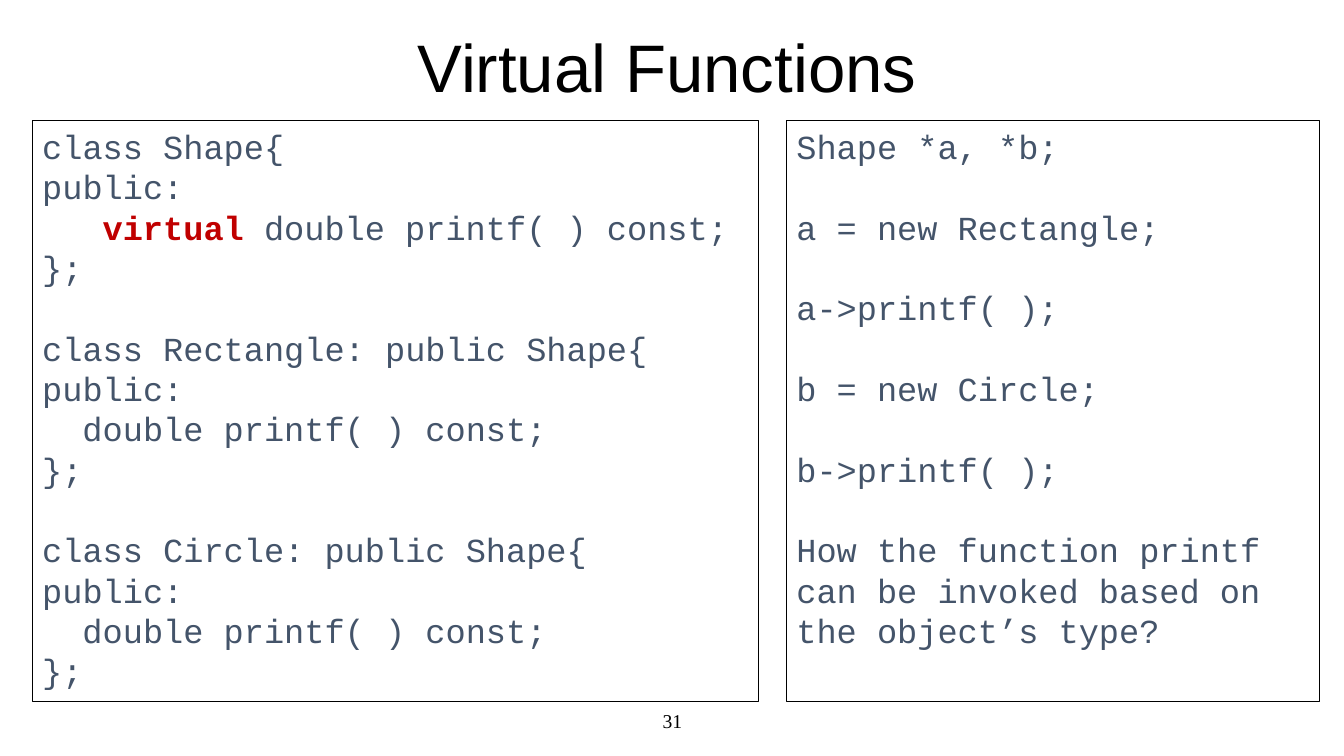
import pptx
import pptx.util
import pptx.dml.color
import pptx.enum.shapes
import pptx.enum.text

Inches, Pt = pptx.util.Inches, pptx.util.Pt
ALIGN, ANCHOR = pptx.enum.text.PP_ALIGN, pptx.enum.text.MSO_ANCHOR
COLOURS = {"black": "000000", "code": "44546A", "keyword": "C00000"}
CODE_LINE = Pt(28.8)
CHARACTER = Inches(0.2)


def set_font(font, name, size, colour):
    """Give a font its name, point size and colour."""
    font.name = name
    font.size = Pt(size)
    font.color.rgb = pptx.dml.color.RGBColor.from_string(COLOURS[colour])


def add_code(page, left, width, groups):
    """Draw a framed listing; each group is a list of (indent, text) lines."""
    box = page.shapes.add_shape(pptx.enum.shapes.MSO_SHAPE.RECTANGLE,
                                Inches(left), Inches(1.2), Inches(width), Inches(5.76))
    box.shadow.inherit = False
    box.fill.background()
    box.line.width = Pt(0.75)
    box.line.color.rgb = pptx.dml.color.RGBColor.from_string(COLOURS["black"])
    frame = box.text_frame
    frame.word_wrap = True
    frame.vertical_anchor = ANCHOR.TOP
    para = frame.paragraphs[0]
    for group_number, group in enumerate(groups):
        for line_number, (indent, text) in enumerate(group):
            if group_number or line_number:
                para = frame.add_paragraph()
            if group_number and not line_number:
                para.space_before = CODE_LINE
            para.alignment = ALIGN.LEFT
            para._p.get_or_add_pPr().set("marL", str(indent * CHARACTER))
            set_font(para.font, "Courier New", 24, "code")
            before, keyword, after = text.partition("virtual")
            for part in filter(None, (before, keyword, after)):
                span = para.add_run()
                span.text = part
                if part == keyword:
                    set_font(span.font, "Courier New", 24, "keyword")
                    span.font.bold = True


deck = pptx.Presentation()
deck.slide_width, deck.slide_height = Inches(13.33), Inches(7.5)
page = deck.slides.add_slide(deck.slide_layouts[5])

title = page.shapes.title
title.left, title.top = Inches(2.17), Inches(0.11)
title.width, title.height = Inches(9.08), Inches(1.19)
title.text_frame.text = "Virtual Functions "
title.text_frame.vertical_anchor = ANCHOR.MIDDLE
para = title.text_frame.paragraphs[0]
para.alignment = ALIGN.CENTER
para.line_spacing = 0.9
set_font(para.font, "Arial", 48, "black")

classes = [("Shape", 3, "virtual double"),
           ("Rectangle: public Shape", 2, "double"),
           ("Circle: public Shape", 2, "double")]
add_code(page, 0.32, 7.2, [
    [(0, f"class {name}{{"), (0, "public:"),
     (indent, f"{result} printf( ) const;"), (0, "};")]
    for name, indent, result in classes])

usage = ["Shape *a, *b;", "a = new Rectangle;", "a->printf( );",
         "b = new Circle;", "b->printf( );",
         "How the function printf can be invoked based on the object’s type? "]
add_code(page, 7.8, 5.29, [[(0, text)] for text in usage])

number = page.shapes.add_textbox(Inches(4.42), Inches(6.95), Inches(4.5), Inches(0.4))
number.text_frame.word_wrap = True
number.text_frame.vertical_anchor = ANCHOR.MIDDLE
number.text_frame.text = "31"
para = number.text_frame.paragraphs[0]
para.alignment = ALIGN.CENTER
set_font(para.font, "Times New Roman", 14, "black")

deck.save("out.pptx")
